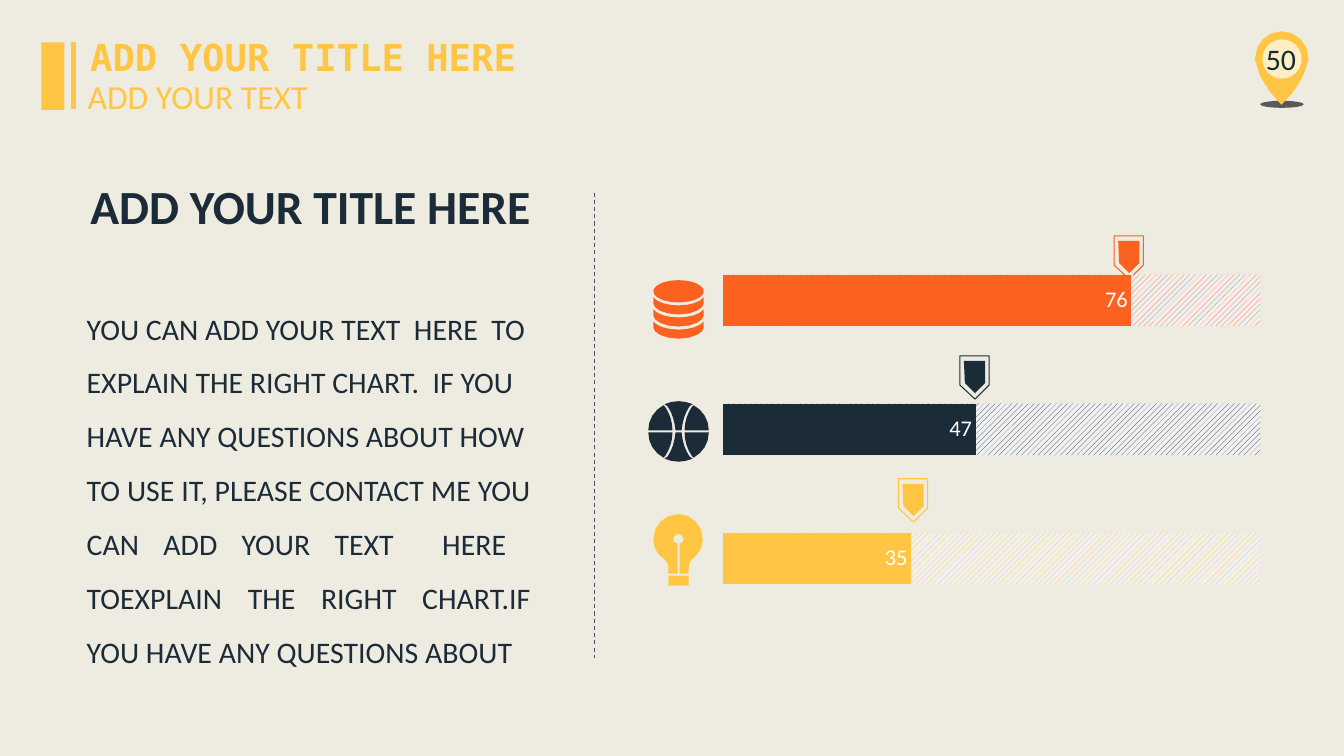
"""Build an infographic slide with a text column and a progress bar chart."""
from lxml.etree import SubElement
from pptx import Presentation
from pptx.chart.data import CategoryChartData
from pptx.dml.color import RGBColor
from pptx.enum.chart import XL_CHART_TYPE as ChartType, XL_LABEL_POSITION as LabelPosition
from pptx.enum.dml import MSO_LINE as Dash, MSO_PATTERN as Pattern
from pptx.enum.shapes import MSO_CONNECTOR as Connector, MSO_SHAPE as Shape
from pptx.enum.text import MSO_ANCHOR as Anchor, MSO_AUTO_SIZE as AutoSize, PP_ALIGN as Align
from pptx.oxml.ns import qn
from pptx.util import Inches, Pt

COLORS = {"back": "EEECE1", "yellow": "FFC543", "navy": "1C2B38", "orange": "FC611F",
          "number": "152C34", "divider": "464F5A", "shadow": "595959", "white": "FFFFFF",
          "hatch": "F1F0F0", "black": "000000"}

TITLE = "ADD YOUR TITLE HERE"
SUBTITLE = "ADD YOUR TEXT"
HEADING = "ADD YOUR TITLE HERE"
NUMBER = "50"
BODY = ["YOU CAN ADD YOUR TEXT  HERE  TO",
        "EXPLAIN THE RIGHT CHART.  IF YOU",
        "HAVE ANY QUESTIONS ABOUT HOW",
        "TO USE IT, PLEASE CONTACT ME YOU CAN ADD YOUR TEXT  HERE  "
        "TOEXPLAIN THE RIGHT CHART.IF YOU HAVE ANY QUESTIONS ABOUT"]
BARS = [("1", 35, "yellow"), ("2", 47, "navy"), ("3", 76, "orange")]
MARKERS = [(8.91, 4.75, "yellow"), (9.52, 3.53, "navy"), (11.05, 2.34, "orange")]

# OUTLINES
PIN = [(0.53, 0.28), (0.53, 0.12, 0.41, 0, 0.26, 0), (0.12, 0, 0, 0.12, 0, 0.26), (0, 0.29),
       (0.02, 0.5, 0.26, 0.73, 0.26, 0.73), (0.43, 0.57, 0.49, 0.42, 0.51, 0.34)]
MARKER_FRAME = [(0, 0), (0.29, 0), (0.29, 0.29), (0.15, 0.43), (0, 0.29)]
MARKER_CORE = [(0.04, 0.05), (0.25, 0.05), (0.25, 0.27), (0.15, 0.37), (0.05, 0.27)]
COIN = [(0, 0), (0, 0.06), (0, 0.11, 0.1, 0.17, 0.25, 0.17), (0.4, 0.17, 0.5, 0.11, 0.5, 0.06),
        (0.5, 0), (0.46, 0.05, 0.36, 0.08, 0.25, 0.08), (0.14, 0.08, 0.04, 0.05, 0, 0)]
BALL_SIDE = [(0.06, 0.01), (0.06, 0.1, 0.09, 0.18, 0.13, 0.24), (0.15, 0.26),
             (0.24, 0.21, 0.3, 0.12, 0.3, 0.01)]
BALL_MIDDLE = [(0.11, 0.25), (0.06, 0.18, 0.04, 0.1, 0.03, 0.01), (-0.03, 0.01),
               (-0.04, 0.1, -0.06, 0.18, -0.11, 0.25), (-0.14, 0.27),
               (-0.05, 0.31, 0.05, 0.31, 0.14, 0.27)]
BULB = [(0.01, 0.29), (0.01, 0.59), (0.1, 0.59), (0.1, 0.54), (0.1, 0.49, 0.12, 0.46, 0.14, 0.44),
        (0.2, 0.4, 0.24, 0.33, 0.24, 0.25), (0.24, 0.11, 0.13, 0, 0, 0),
        (-0.14, 0, -0.25, 0.11, -0.25, 0.25), (-0.25, 0.33, -0.21, 0.4, -0.15, 0.44),
        (-0.12, 0.46, -0.1, 0.5, -0.1, 0.54), (-0.1, 0.59), (-0.01, 0.59), (-0.01, 0.29),
        (-0.04, 0.29, -0.05, 0.27, -0.05, 0.25), (-0.05, 0.22, -0.03, 0.2, 0, 0.2),
        (0.02, 0.2, 0.05, 0.22, 0.05, 0.25), (0.05, 0.27, 0.03, 0.29, 0.01, 0.29)]


def color(name):
    return RGBColor.from_string(COLORS[name])


def set_font(font, size, tint, name="Calibri", bold=False):
    for key, value in {"size": Pt(size), "name": name, "bold": bold}.items():
        setattr(font, key, value)
    font.color.rgb = color(tint)


def paint(shape, tint):
    shape.shadow.inherit = False
    shape.fill.solid()
    shape.fill.fore_color.rgb = color(tint)
    shape.line.fill.background()
    return shape


def add_preset(shapes, kind, area, tint):
    return paint(shapes.add_shape(kind, *map(Inches, area)), tint)


def flatten(outline, steps=4):
    points = [outline[0]]
    for part in outline[1:]:
        if len(part) == 2:
            points.append(part)
            continue
        knots = [points[-1], part[:2], part[2:4], part[4:]]
        for step in range(1, steps + 1):
            t = step / steps
            weights = [(1 - t) ** 3, 3 * t * (1 - t) ** 2, 3 * t * t * (1 - t), t ** 3]
            points.append(tuple(sum(w * knot[axis] for w, knot in zip(weights, knots))
                                for axis in (0, 1)))
    return points


def add_outline(shapes, outline, left, top, tint, flip=(1, 1)):
    points = [(Inches(left + flip[0] * x), Inches(top + flip[1] * y)) for x, y in flatten(outline)]
    builder = shapes.build_freeform(*points[0], scale=1.0)
    builder.add_line_segments(points[1:], close=True)
    return paint(builder.convert_to_shape(), tint)


def add_line(shapes, ends, tint, width):
    line = shapes.add_connector(Connector.STRAIGHT, *map(Inches, ends))
    line.line.color.rgb = color(tint)
    line.line.width = Pt(width)
    SubElement(line.element.spPr, qn("a:effectLst"))
    return line


def write(box, area, lines, align, size, tint, name="Calibri", bold=False,
          wrap=False, anchor=Anchor.TOP, fit=AutoSize.SHAPE_TO_FIT_TEXT, spacing=1.0):
    for key, value in zip(("left", "top", "width", "height"), area):
        setattr(box, key, Inches(value))
    frame = box.text_frame
    for key, value in {"word_wrap": wrap, "auto_size": fit, "vertical_anchor": anchor}.items():
        setattr(frame, key, value)
    for index, text in enumerate(lines):
        para = frame.paragraphs[0] if index == 0 else frame.add_paragraph()
        if box.is_placeholder:
            props = para._p.get_or_add_pPr()
            props.set("marL", "0")
            props.set("indent", "0")
            SubElement(props, qn("a:buNone"))
        for key, value in {"alignment": align, "line_spacing": spacing,
                           "space_before": Pt(0)}.items():
            setattr(para, key, value)
        span = para.add_run()
        span.text = text
        set_font(span.font, size, tint, name, bold)


def add_bars(shapes):
    data = CategoryChartData()
    data.categories = [label for label, _, _ in BARS]
    data.add_series("Series 1", [100] * len(BARS))
    data.add_series("Series 2", [value for _, value, _ in BARS])
    area = map(Inches, (7.04, 2.26, 6.66, 4))
    chart = shapes.add_chart(ChartType.BAR_CLUSTERED, *area, data).chart
    chart.has_legend = chart.has_title = False
    set_font(chart.font, 10, "black")
    axis = chart.value_axis
    axis.minimum_scale, axis.maximum_scale = 0, 120
    axis.has_major_gridlines = False
    axis.visible = chart.category_axis.visible = False
    plot = chart.plots[0]
    plot.gap_width, plot.overlap, plot.vary_by_categories = 150, 100, False
    track, progress = plot.series
    for index, (_, _, tint) in enumerate(BARS):
        hatch = track.points[index].format.fill
        hatch.patterned()
        hatch.pattern = Pattern.WIDE_UPWARD_DIAGONAL
        hatch.fore_color.rgb, hatch.back_color.rgb = color(tint), color("hatch")
        solid = progress.points[index].format.fill
        solid.solid()
        solid.fore_color.rgb = color(tint)
    labels = progress.data_labels
    labels.show_value, labels.position = True, LabelPosition.INSIDE_END
    set_font(labels.font, 16, "white")


def main():
    deck = Presentation()
    deck.slide_width, deck.slide_height = Inches(13.33), Inches(7.5)
    slide = deck.slides.add_slide(deck.slide_layouts[1])
    shapes = slide.shapes
    slide.background.fill.solid()
    slide.background.fill.fore_color.rgb = color("back")
    title, body = slide.placeholders

    pin = shapes.add_group_shape().shapes
    add_preset(pin, Shape.OVAL, (12.5, 1, 0.43, 0.07), "shadow")
    add_outline(pin, PIN, 12.45, 0.31, "yellow")
    disc = add_preset(pin, Shape.OVAL, (12.52, 0.39, 0.39, 0.39), "white")
    tone = disc.element.spPr.find(qn("a:solidFill"))[0]
    SubElement(tone, qn("a:alpha")).set("val", "69000")

    write(shapes.add_textbox(0, 0, 0, 0), (11.15, 0.38, 3.11, 0.4), [NUMBER], Align.CENTER,
          21.33, "number", wrap=True, anchor=Anchor.MIDDLE, fit=AutoSize.NONE)
    write(body, (0.76, 2.85, 4.61, 3.87), BODY, Align.JUSTIFY, 21.33, "navy",
          wrap=True, spacing=1.5)
    write(shapes.add_textbox(0, 0, 0, 0), (0.77, 1.71, 4.62, 0.67), [HEADING], Align.CENTER,
          34, "navy", bold=True)
    add_line(shapes, (5.9, 1.91, 5.9, 6.53), "divider", 0.75).line.dash_style = Dash.DASH

    for left, top, tint in MARKERS:
        marker = shapes.add_group_shape().shapes
        frame = add_outline(marker, MARKER_FRAME, left, top, tint)
        frame.fill.background()
        frame.line.color.rgb = color(tint)
        frame.line.width = Pt(0)
        add_outline(marker, MARKER_CORE, left, top, tint)

    coins = shapes.add_group_shape().shapes
    add_preset(coins, Shape.OVAL, (6.48, 2.78, 0.5, 0.22), "orange")
    for row in range(3):
        add_outline(coins, COIN, 6.48, 2.95 + 0.12 * row, "orange")

    bulb = shapes.add_group_shape().shapes
    add_outline(bulb, BULB, 6.73, 5.1, "yellow")
    add_preset(bulb, Shape.RECTANGLE, (6.63, 5.71, 0.2, 0.1), "yellow")

    ball = shapes.add_group_shape().shapes
    for down in (1, -1):
        add_outline(ball, BALL_MIDDLE, 6.73, 4.28, "navy", (1, down))
        for across in (1, -1):
            add_outline(ball, BALL_SIDE, 6.73, 4.28, "navy", (across, down))

    add_bars(shapes)
    add_preset(shapes, Shape.RECTANGLE, (0.41, 0.42, 0.23, 0.67), "yellow")
    add_line(shapes, (0.73, 0.42, 0.73, 1.08), "yellow", 3)
    write(title, (0.71, 0.29, 4.6, 0.55), [TITLE], Align.CENTER, 26.67, "yellow",
          name="DejaVu Sans Mono", bold=True)
    write(shapes.add_textbox(0, 0, 0, 0), (0.77, 0.7, 2.41, 0.5), [SUBTITLE], Align.LEFT,
          24, "yellow")
    deck.save("out.pptx")


if __name__ == "__main__":
    main()
